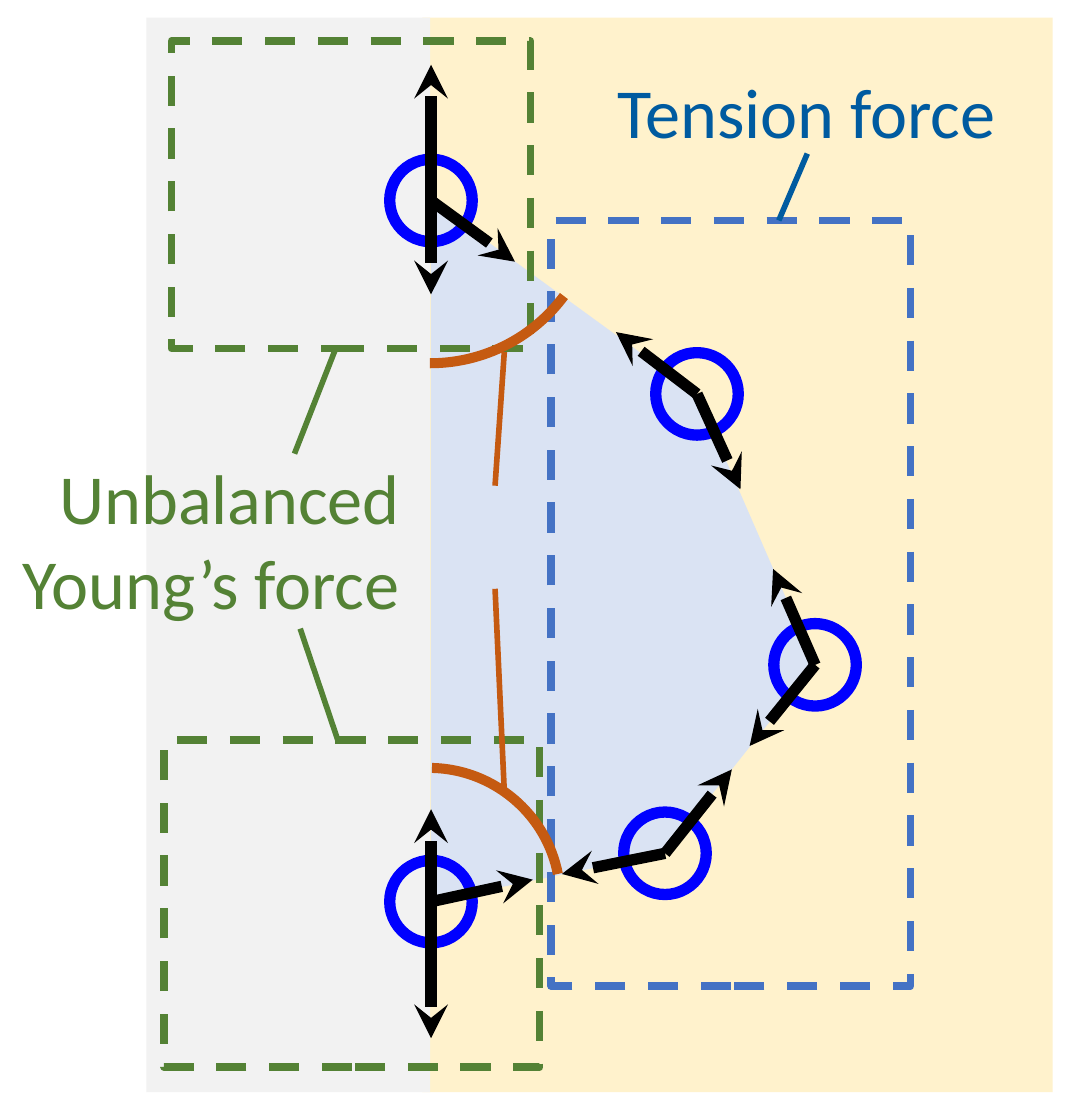
from dataclasses import dataclass
from typing import NamedTuple

from lxml.etree import SubElement
from pptx import Presentation
from pptx.dml.color import RGBColor
from pptx.enum.dml import MSO_LINE
from pptx.enum.shapes import MSO_CONNECTOR, MSO_SHAPE
from pptx.enum.text import PP_ALIGN
from pptx.oxml.ns import qn
from pptx.util import Cm, Pt


@dataclass(frozen=True)
class Theme:
    font: str = "Calibri"
    label_size: float = 28
    particle_line: float = 4.5
    arc_line: float = 4
    frame_line: float = 3
    leader_line: float = 2.25
    wall: str = "F2F2F2"
    outside: str = "FFF2CC"
    droplet: str = "DAE3F3"
    particle: str = "0000FF"
    force: str = "000000"
    tension_frame: str = "4472C4"
    tension: str = "005BA0"
    young: str = "548235"
    angle: str = "C55A11"


THEME = Theme()


class Point(NamedTuple):
    x: float
    y: float


class Area(NamedTuple):
    left: float
    top: float
    width: float
    height: float


class Segment(NamedTuple):
    start: Point
    end: Point
    color: str


class Frame(NamedTuple):
    area: Area
    color: str


class Label(NamedTuple):
    text: str
    area: Area
    color: str
    align: PP_ALIGN


class ContactAngle(NamedTuple):
    center: Point
    radius: float
    start: float
    end: float


TOP, UPPER, RIGHT = Point(6.06, 2.82), Point(9.8, 5.54), Point(11.46, 9.35)
LOWER, BOTTOM = Point(9.35, 12), Point(6.06, 12.68)
PARTICLES = (UPPER, TOP, RIGHT, LOWER, BOTTOM)
PARTICLE_RADIUS = 0.58

FORCES = {
    TOP: (Point(7.24, 3.68), Point(6.06, 0.91), Point(6.06, 4.14)),
    UPPER: (Point(10.41, 6.88), Point(8.66, 4.67)),
    RIGHT: (Point(10.87, 8), Point(10.54, 10.49)),
    LOWER: (Point(10.29, 10.82), Point(7.9, 12.29)),
    BOTTOM: (Point(7.49, 12.37), Point(6.06, 14.6), Point(6.06, 11.38)),
}
FRAMES = (
    Frame(Area(7.75, 3.1, 5.05, 10.77), THEME.tension_frame),
    Frame(Area(2.41, 0.58, 5.05, 4.32), THEME.young),
    Frame(Area(2.31, 10.41, 5.28, 4.6), THEME.young),
)
LABELS = (
    Label("Tension force", Area(8.43, 0.84, 7.19, 1.45), THEME.tension, PP_ALIGN.LEFT),
    Label("Unbalanced Young’s force", Area(-1.17, 6.27, 7.04, 2.64), THEME.young, PP_ALIGN.RIGHT),
)
LEADERS = (
    Segment(Point(4.14, 6.38), Point(4.72, 4.9), THEME.young),
    Segment(Point(4.22, 8.84), Point(4.75, 10.41), THEME.young),
    Segment(Point(10.95, 3.1), Point(11.35, 2.16), THEME.tension),
    Segment(Point(6.96, 6.83), Point(7.09, 4.95), THEME.angle),
    Segment(Point(7.09, 11.13), Point(6.96, 8.28), THEME.angle),
)
CONTACT_ANGLES = (
    ContactAngle(Point(6.05, 2.77), 2.34, 36.58, 90.15),
    ContactAngle(Point(6.03, 12.65), 1.85, 271.38, 348.84),
)


def lengths(area: Area) -> list[Cm]:
    return [Cm(value) for value in area]


def around(center: Point, radius: float) -> Area:
    return Area(center.x - radius, center.y - radius, 2 * radius, 2 * radius)


def fill_only(shape, color: str) -> None:
    shape.shadow.inherit = False
    shape.fill.solid()
    shape.fill.fore_color.rgb = RGBColor.from_string(color)
    shape.line.fill.background()


def set_line(line, color: str, width: float) -> None:
    line.color.rgb = RGBColor.from_string(color)
    line.width = Pt(width)


def add_background(page, area: Area, color: str) -> None:
    fill_only(page.shapes.add_shape(MSO_SHAPE.RECTANGLE, *lengths(area)), color)


def add_droplet(page) -> None:
    corners = [(Cm(point.x), Cm(point.y)) for point in (TOP, BOTTOM, LOWER, RIGHT, UPPER)]
    builder = page.shapes.build_freeform(*corners[0])
    builder.add_line_segments(corners[1:], close=True)
    fill_only(builder.convert_to_shape(), THEME.droplet)


def add_outline(page, kind: MSO_SHAPE, area: Area, color: str, width: float):
    shape = page.shapes.add_shape(kind, *lengths(area))
    shape.shadow.inherit = False
    shape.fill.background()
    set_line(shape.line, color, width)
    return shape


def add_contact_angle(page, angle: ContactAngle) -> None:
    """Draw an arc; its adjustments count 0.6 for each degree."""
    arc = add_outline(page, MSO_SHAPE.ARC, around(angle.center, angle.radius),
                      THEME.angle, THEME.arc_line)
    arc.adjustments[0] = angle.start * 0.6
    arc.adjustments[1] = angle.end * 0.6


def add_segment(page, segment: Segment, width: float, arrow: bool = False) -> None:
    ends = [Cm(value) for point in (segment.start, segment.end) for value in point]
    connector = page.shapes.add_connector(MSO_CONNECTOR.STRAIGHT, *ends)
    set_line(connector.line, segment.color, width)
    if arrow:
        SubElement(connector.get_or_add_ln(), qn("a:tailEnd"), type="stealth")
    SubElement(connector.element.spPr, qn("a:effectLst"))


def add_label(page, label: Label) -> None:
    box = page.shapes.add_textbox(*lengths(label.area))
    box.text_frame.word_wrap = True
    box.text_frame.text = label.text
    para = box.text_frame.paragraphs[0]
    para.alignment = label.align
    font = para.runs[0].font
    font.name, font.size = THEME.font, Pt(THEME.label_size)
    font.color.rgb = RGBColor.from_string(label.color)


def main() -> None:
    deck = Presentation()
    deck.slide_width, deck.slide_height = Cm(15.24), Cm(15.75)
    page = deck.slides.add_slide(deck.slide_layouts[6])

    add_background(page, Area(5.94, 0.25, 8.86, 15.11), THEME.outside)
    add_background(page, Area(2.06, 0.25, 3.99, 15.11), THEME.wall)
    add_droplet(page)
    for center in PARTICLES:
        add_outline(page, MSO_SHAPE.OVAL, around(center, PARTICLE_RADIUS),
                    THEME.particle, THEME.particle_line)
    for start, ends in FORCES.items():
        for end in ends:
            add_segment(page, Segment(start, end, THEME.force), THEME.particle_line, arrow=True)
    for frame in FRAMES:
        outline = add_outline(page, MSO_SHAPE.RECTANGLE, frame.area, frame.color, THEME.frame_line)
        outline.line.dash_style = MSO_LINE.DASH
    for label in LABELS:
        add_label(page, label)
    for angle in CONTACT_ANGLES:
        add_contact_angle(page, angle)
    for leader in LEADERS:
        add_segment(page, leader, THEME.leader_line)

    deck.save("out.pptx")


if __name__ == "__main__":
    main()
